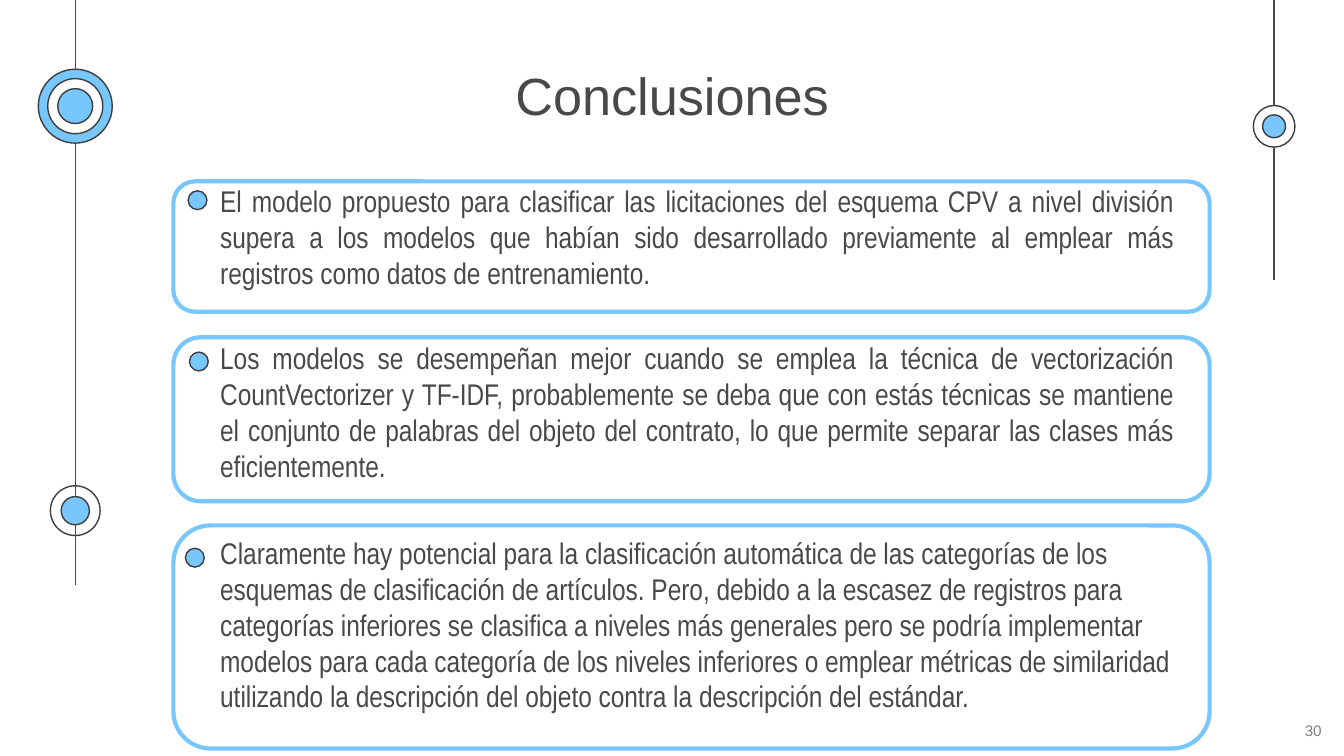
import pptx
import pptx.dml.color
import pptx.enum.shapes
import pptx.enum.text
import pptx.oxml
import pptx.oxml.ns
import pptx.util
from dataclasses import dataclass

Inches = pptx.util.Inches
Pt = pptx.util.Pt
ALIGN = pptx.enum.text.PP_ALIGN
SHAPE = pptx.enum.shapes.MSO_SHAPE


@dataclass(frozen=True)
class Theme:
    text: str = "494949"
    outline: str = "3D3D3D"
    accent: str = "77C6FC"
    white: str = "FFFFFF"
    muted: str = "808080"
    heading_font: str = "Arial"
    body_font: str = "Arial Narrow"
    title_size: float = 28
    body_size: float = 16
    number_size: float = 8.2
    thin: float = 0.75
    thick: float = 2.25


class SlideBuilder:
    def __init__(self, slide, theme):
        self.slide = slide
        self.theme = theme

    def color(self, value):
        return pptx.dml.color.RGBColor.from_string(value)

    def style(self, sp, fill, line, width):
        sp.shadow.inherit = False
        if fill:
            sp.fill.solid()
            sp.fill.fore_color.rgb = self.color(fill)
        else:
            sp.fill.background()
        sp.line.color.rgb = self.color(line)
        sp.line.width = Pt(width)

    def vertical(self, x, bottom):
        line = self.slide.shapes.add_connector(
            pptx.enum.shapes.MSO_CONNECTOR.STRAIGHT,
            Inches(x), Inches(0), Inches(x), Inches(bottom))
        line.line.color.rgb = self.color(self.theme.text)
        line.line.width = Pt(self.theme.thin)
        line._element.spPr.append(pptx.oxml.parse_xml(
            "<a:effectLst %s/>" % pptx.oxml.ns.nsdecls("a")))

    def circle(self, x, y, diameter, fill):
        sp = self.slide.shapes.add_shape(
            SHAPE.OVAL, Inches(x - diameter / 2), Inches(y - diameter / 2),
            Inches(diameter), Inches(diameter))
        self.style(sp, fill, self.theme.outline, self.theme.thin)

    def frame(self, x, y, w, h):
        sp = self.slide.shapes.add_shape(
            SHAPE.ROUNDED_RECTANGLE, Inches(x), Inches(y), Inches(w), Inches(h))
        self.style(sp, None, self.theme.accent, self.theme.thick)

    def text(self, x, y, w, h, content, font, size, color,
             align=ALIGN.LEFT, inset=0.1):
        tf = self.slide.shapes.add_textbox(
            Inches(x), Inches(y), Inches(w), Inches(h)).text_frame
        tf.word_wrap = True
        tf.margin_left = tf.margin_right = Inches(0.1)
        tf.margin_top = tf.margin_bottom = Inches(inset)
        p = tf.paragraphs[0]
        p.alignment = align
        r = p.add_run()
        r.text = content
        r.font.name = font
        r.font.size = Pt(size)
        r.font.color.rgb = self.color(color)


def main():
    prs = pptx.Presentation()
    prs.slide_width = Inches(10)
    prs.slide_height = Inches(10 * 9 / 16)
    theme = Theme()
    s = SlideBuilder(prs.slides.add_slide(prs.slide_layouts[6]), theme)

    left_x, right_x = 0.56, 9.48
    s.vertical(left_x, 4.35)
    s.vertical(right_x, 2.08)
    rings = [
        (left_x, 3.8, [(0.37, None), (0.21, theme.accent)]),
        (right_x, 0.94, [(0.31, theme.white), (0.17, theme.accent)]),
        (left_x, 0.79, [(0.55, theme.accent), (0.41, theme.white),
                        (0.26, theme.accent)]),
    ]
    for x, y, circles in rings:
        for diameter, fill in circles:
            s.circle(x, y, diameter, fill)

    s.text(3.24, 0.37, 3.52, 0.63, "Conclusiones", theme.heading_font,
           theme.title_size, theme.text, ALIGN.CENTER)

    conclusions = [
        (1.35, 0.97, 1.26, 1.02, (1.47, 1.49), ALIGN.JUSTIFY,
         "El modelo propuesto para clasificar las licitaciones del esquema CPV "
         "a nivel división supera a los modelos que habían sido desarrollado "
         "previamente al emplear más registros como datos de entrenamiento. "),
        (2.51, 1.22, 2.43, 1.22, (1.48, 2.69), ALIGN.JUSTIFY,
         "Los modelos se desempeñan mejor cuando se emplea la técnica de "
         "vectorización CountVectorizer y TF-IDF, probablemente se deba que con "
         "estás técnicas se mantiene el conjunto de palabras del objeto del "
         "contrato, lo que permite separar las clases más eficientemente. "),
        (3.91, 1.66, 3.88, 1.66, (1.45, 4.15), ALIGN.LEFT,
         "Claramente hay potencial para la clasificación automática de las "
         "categorías de los esquemas de clasificación de artículos. Pero, debido "
         "a la escasez de registros para categorías inferiores se clasifica a "
         "niveles más generales pero se podría implementar modelos para cada "
         "categoría de los niveles inferiores o emplear métricas de similaridad "
         "utilizando la descripción del objeto contra la descripción del "
         "estándar."),
    ]
    for top, height, text_top, text_height, bullet, align, content in conclusions:
        s.frame(1.29, top, 7.71, height)
        s.text(1.54, text_top, 7.3, text_height, content, theme.body_font,
               theme.body_size, theme.text, align)
        s.circle(*bullet, 0.14, theme.accent)

    s.text(9.61, 5.32, 0.39, 0.24, "30", theme.heading_font,
           theme.number_size, theme.muted, inset=0.05)
    prs.save("out.pptx")


if __name__ == "__main__":
    main()
